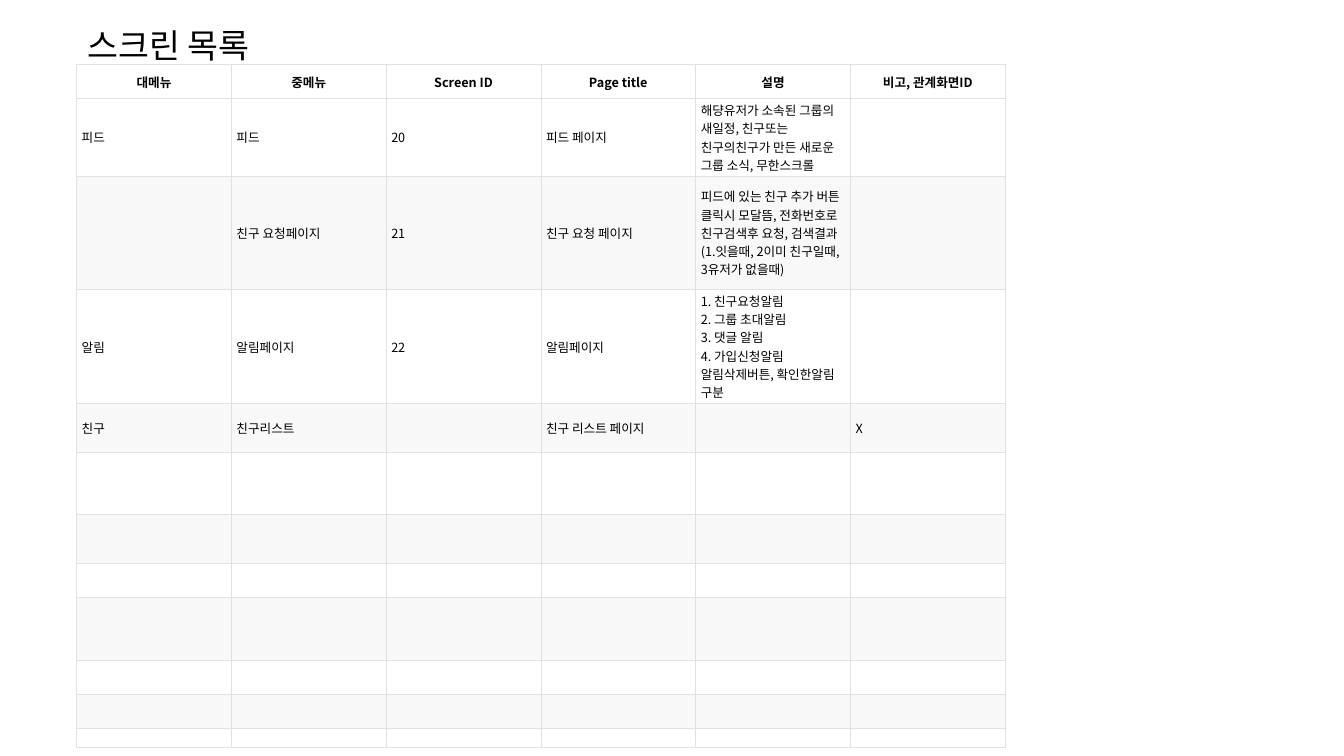
from dataclasses import dataclass

from lxml import etree
from pptx import Presentation
from pptx.dml.color import RGBColor
from pptx.enum.text import MSO_ANCHOR, MSO_AUTO_SIZE, PP_ALIGN
from pptx.oxml.ns import qn
from pptx.slide import Slide
from pptx.table import _Cell
from pptx.text.text import _Paragraph
from pptx.util import Cm, Pt

CENTER, LEFT = PP_ALIGN.CENTER, PP_ALIGN.LEFT
MIDDLE = MSO_ANCHOR.MIDDLE
FIT_SHAPE = MSO_AUTO_SIZE.SHAPE_TO_FIT_TEXT


@dataclass(frozen=True)
class Theme:
    font: str = "Noto Sans CJK KR"
    ink: str = "000000"
    border: str = "DFE2E5"
    plain: str = "FFFFFF"
    band: str = "F8F8F8"
    title_size: float = 24
    cell_size: float = 9
    border_width: float = 0.6


@dataclass(frozen=True)
class ScreenRow:
    height: float
    texts: tuple[str, ...] = ("",) * 6


THEME = Theme()
COLUMN_WIDTH = 3.9
HEADER = ScreenRow(0.86, ("대메뉴", "중메뉴", "Screen ID", "Page title", "설명", "비고, 관계화면ID"))
SCREENS = (
    ScreenRow(0.86, (
        "피드", "피드", "20", "피드 페이지",
        "해댱유저가 소속된 그룹의 새일정, 친구또는 친구의친구가 만든 새로운 그룹 소식, 무한스크롤", "")),
    ScreenRow(0.86, (
        "", "친구 요청페이지", "21", "친구 요청 페이지",
        "피드에 있는 친구 추가 버튼 클릭시 모달뜸, 전화번호로 친구검색후 요청, "
        "검색결과(1.잇을때, 2이미 친구일때, 3유저가 없을때)", "")),
    ScreenRow(0.86, (
        "알림", "알림페이지", "22", "알림페이지",
        "1. 친구요청알림\v2. 그룹 초대알림\n3. 댓글 알림\n4. 가입신청알림\n"
        "알림삭제버튼, 확인한알림 구분", "")),
    ScreenRow(1.22, ("친구", "친구리스트", "", "친구 리스트 페이지", "", "X")),
    *(ScreenRow(height) for height in (1.58, 1.22, 0.86, 1.58, 0.86, 0.86, 0.48)),
)


def add_text(paragraph: _Paragraph, text: str, size: float, bold: bool = False) -> None:
    """Add a styled run for each line of the paragraph."""
    for index, line in enumerate(text.split("\v")):
        if index:
            paragraph.add_line_break()
        run = paragraph.add_run()
        run.text = line
        run.font.size = Pt(size)
        run.font.bold = bold
        run.font.color.rgb = RGBColor.from_string(THEME.ink)
        run.font.name = THEME.font
        east_asian = etree.SubElement(run.font._element, qn("a:ea"))
        east_asian.set("typeface", THEME.font)


def add_borders(cell: _Cell) -> None:
    """Draw a thin line on every side of the cell."""
    properties = cell._tc.get_or_add_tcPr()
    for side in ("lnL", "lnR", "lnT", "lnB"):
        line = etree.SubElement(properties, qn(f"a:{side}"), w=str(Pt(THEME.border_width)))
        fill = etree.SubElement(line, qn("a:solidFill"))
        etree.SubElement(fill, qn("a:srgbClr"), val=THEME.border)


def fill_cell(cell: _Cell, text: str, color: str, is_header: bool) -> None:
    """Style one table cell and write its text."""
    add_borders(cell)
    cell.fill.solid()
    cell.fill.fore_color.rgb = RGBColor.from_string(color)
    cell.vertical_anchor = MIDDLE
    cell.margin_left = cell.margin_right = Cm(0.13)
    cell.margin_top = cell.margin_bottom = Cm(0.05)
    frame = cell.text_frame
    for index, part in enumerate(text.split("\n")):
        paragraph = frame.add_paragraph() if index else frame.paragraphs[0]
        paragraph.alignment = CENTER if is_header else LEFT
        if part:
            add_text(paragraph, part, THEME.cell_size, is_header)
        else:
            etree.SubElement(paragraph._p, qn("a:endParaRPr"), sz=str(int(THEME.cell_size * 100)))


def add_screen_table(slide: Slide) -> None:
    """Build the table of screens with alternating row colours."""
    rows = (HEADER, *SCREENS)
    columns = len(HEADER.texts)
    frame = slide.shapes.add_table(
        len(rows), columns, Cm(1.93), Cm(1.63), Cm(COLUMN_WIDTH * columns), Cm(15.98))
    table = frame.table
    table.horz_banding = False
    for column in table.columns:
        column.width = Cm(COLUMN_WIDTH)
    for index, row in enumerate(rows):
        table.rows[index].height = Cm(row.height)
        color = THEME.band if index and index % 2 == 0 else THEME.plain
        for cell, text in zip(table.rows[index].cells, row.texts):
            fill_cell(cell, text, color, index == 0)
    frame.height = Cm(15.98)


def add_title(slide: Slide) -> None:
    """Place the slide heading above the table."""
    title = slide.shapes.add_textbox(Cm(1.96), Cm(0.51), Cm(18.42), Cm(1.24))
    title.text_frame.word_wrap = True
    title.text_frame.auto_size = FIT_SHAPE
    add_text(title.text_frame.paragraphs[0], "스크린 목록", THEME.title_size)


def main() -> None:
    """Create the screen list slide."""
    presentation = Presentation()
    presentation.slide_width, presentation.slide_height = Cm(33.87), Cm(19.05)
    slide = presentation.slides.add_slide(presentation.slide_layouts[6])
    add_screen_table(slide)
    add_title(slide)
    presentation.save("out.pptx")


if __name__ == "__main__":
    main()
